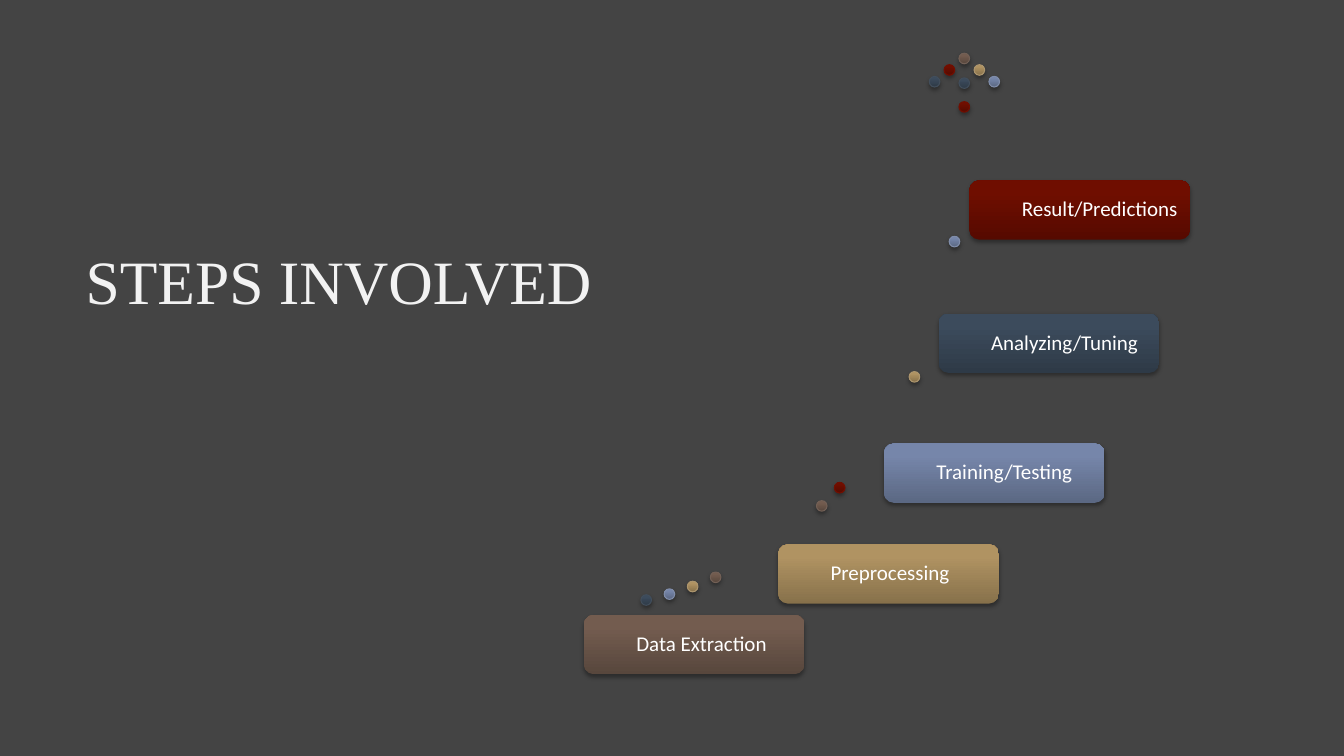
from copy import deepcopy
from dataclasses import dataclass
from itertools import cycle

from lxml.etree import SubElement
from pptx import Presentation
from pptx.dml.color import RGBColor as Color
from pptx.enum.shapes import MSO_SHAPE as Preset
from pptx.enum.text import MSO_ANCHOR as Anchor, MSO_AUTO_SIZE as AutoSize, PP_ALIGN as Align
from pptx.oxml.ns import qn
from pptx.shapes.autoshape import Shape
from pptx.shapes.shapetree import GroupShapes
from pptx.slide import Slide
from pptx.util import Pt


@dataclass(frozen=True)
class Tone:
    shade: str
    body: str
    light: str
    outline: str


@dataclass(frozen=True)
class Theme:
    background: str = "444444"
    title: str = "F2F2F2"
    label: str = "FFFFFF"
    shadow: str = "000000"
    title_font: str = "Times New Roman"
    label_font: str = "Calibri"
    title_size: float = 44
    label_size: float = 15
    tones: tuple[Tone, ...] = (
        Tone("58473D", "735C4F", "745C4F", "726056"),
        Tone("87714B", "B09362", "B29461", "AC956E"),
        Tone("5B6883", "7686AA", "7687AB", "808DA9"),
        Tone("2E3A47", "3C4B5C", "3C4C5D", "424E5B"),
        Tone("560A00", "6F0E00", "700E00", "730E00"),
    )


@dataclass(frozen=True)
class Step:
    label: str
    left: float
    top: float


@dataclass(frozen=True)
class Dot:
    left: float
    top: float


THEME = Theme()
DOT_SIZE = 7.6
STEP_WIDTH, STEP_HEIGHT = 157.7, 42.4

STEPS = (
    Step("Data Extraction", 417, 439.2),
    Step("Preprocessing", 555.8, 388.8),
    Step("Training/Testing", 631.4, 316.8),
    Step("Analyzing/Tuning", 670.4, 224),
    Step("Result/Predictions", 692.4, 128.8),
)

DOTS = (
    Dot(507.4, 408.6), Dot(491, 415.2), Dot(474.4, 420.6), Dot(457.8, 424.8),
    Dot(596, 344.6), Dot(583.2, 357.6), Dot(649.4, 265.4), Dot(678, 168.8),
    Dot(663.8, 54.6), Dot(674.4, 46.2), Dot(685, 38), Dot(695.8, 46.2),
    Dot(706.4, 54.6), Dot(685, 55.6), Dot(685, 72.6),
)


def apply_format(target: object, values: dict[str, object]) -> None:
    for name, value in values.items():
        setattr(target, name, value)


def format_font(font: object, name: str, size: float, color: str) -> None:
    apply_format(font, {"name": name, "size": Pt(size)})
    font.color.rgb = Color.from_string(color)


def add_shadow(shape: Shape) -> None:
    shape.shadow.inherit = False
    effects = shape.element.spPr.find(qn("a:effectLst"))
    shadow = SubElement(effects, qn("a:outerShdw"), blurRad=str(Pt(3.1)),
                        dist=str(Pt(1.8)), dir="5400000", rotWithShape="0")
    color = SubElement(shadow, qn("a:srgbClr"), val=THEME.shadow)
    SubElement(color, qn("a:alpha"), val="35000")


def fill_gradient(shape: Shape, tone: Tone) -> None:
    shape.fill.gradient()
    shape.fill.gradient_angle = 90
    stop_list = next(shape.element.spPr.iter(qn("a:gsLst")))
    stop_list.append(deepcopy(stop_list[-1]))
    colors = (tone.shade, tone.body, tone.light)
    for stop, position, color in zip(shape.fill.gradient_stops, (0, 0.8, 1), colors):
        stop.position = position
        stop.color.rgb = Color.from_string(color)


def add_toned_shape(shapes: GroupShapes, preset: Preset, item: Dot | Step,
                    width: float, height: float, tone: Tone) -> Shape:
    shape = shapes.add_shape(preset, Pt(item.left), Pt(item.top), Pt(width), Pt(height))
    fill_gradient(shape, tone)
    add_shadow(shape)
    return shape


def draw_dot(shapes: GroupShapes, dot: Dot, tone: Tone) -> None:
    shape = add_toned_shape(shapes, Preset.OVAL, dot, DOT_SIZE, DOT_SIZE, tone)
    shape.line.color.rgb = Color.from_string(tone.outline)
    shape.line.width = Pt(0.75)


def draw_step(shapes: GroupShapes, step: Step, tone: Tone) -> None:
    shape = add_toned_shape(shapes, Preset.ROUNDED_RECTANGLE, step,
                            STEP_WIDTH, STEP_HEIGHT, tone)
    shape.line.fill.background()
    frame = shape.text_frame
    apply_format(frame, {
        "margin_left": Pt(35.4), "margin_right": Pt(4.5),
        "margin_top": Pt(6.5), "margin_bottom": Pt(6.5),
        "vertical_anchor": Anchor.MIDDLE, "word_wrap": True,
    })
    paragraph = frame.paragraphs[0]
    paragraph.text = step.label
    apply_format(paragraph, {"alignment": Align.LEFT, "line_spacing": 0.9,
                             "space_after": Pt(5.2)})
    format_font(paragraph.font, THEME.label_font, THEME.label_size, THEME.label)


def draw_title(slide: Slide, text: str) -> None:
    title = slide.shapes.title
    apply_format(title, {"left": Pt(54), "top": Pt(151.2),
                         "width": Pt(520.6), "height": Pt(104.4)})
    frame = title.text_frame
    apply_format(frame, {
        "margin_left": Pt(7.2), "margin_right": Pt(7.2),
        "margin_top": Pt(3.6), "margin_bottom": Pt(3.6),
        "vertical_anchor": Anchor.MIDDLE, "word_wrap": True,
        "auto_size": AutoSize.NONE,
    })
    paragraph = frame.paragraphs[0]
    paragraph.text = text
    apply_format(paragraph, {"alignment": Align.LEFT, "line_spacing": 0.9,
                             "space_before": Pt(0)})
    format_font(paragraph.font, THEME.title_font, THEME.title_size, THEME.title)


def main() -> None:
    presentation = Presentation()
    apply_format(presentation, {"slide_width": Pt(960), "slide_height": Pt(540)})
    slide = presentation.slides.add_slide(presentation.slide_layouts[5])
    slide.background.fill.solid()
    slide.background.fill.fore_color.rgb = Color.from_string(THEME.background)
    draw_title(slide, "STEPS INVOLVED")
    diagram = slide.shapes.add_group_shape().shapes
    for dot, tone in zip(DOTS, cycle(THEME.tones)):
        draw_dot(diagram, dot, tone)
    for step, tone in zip(STEPS, THEME.tones):
        draw_step(diagram, step, tone)
    presentation.save("out.pptx")


if __name__ == "__main__":
    main()
